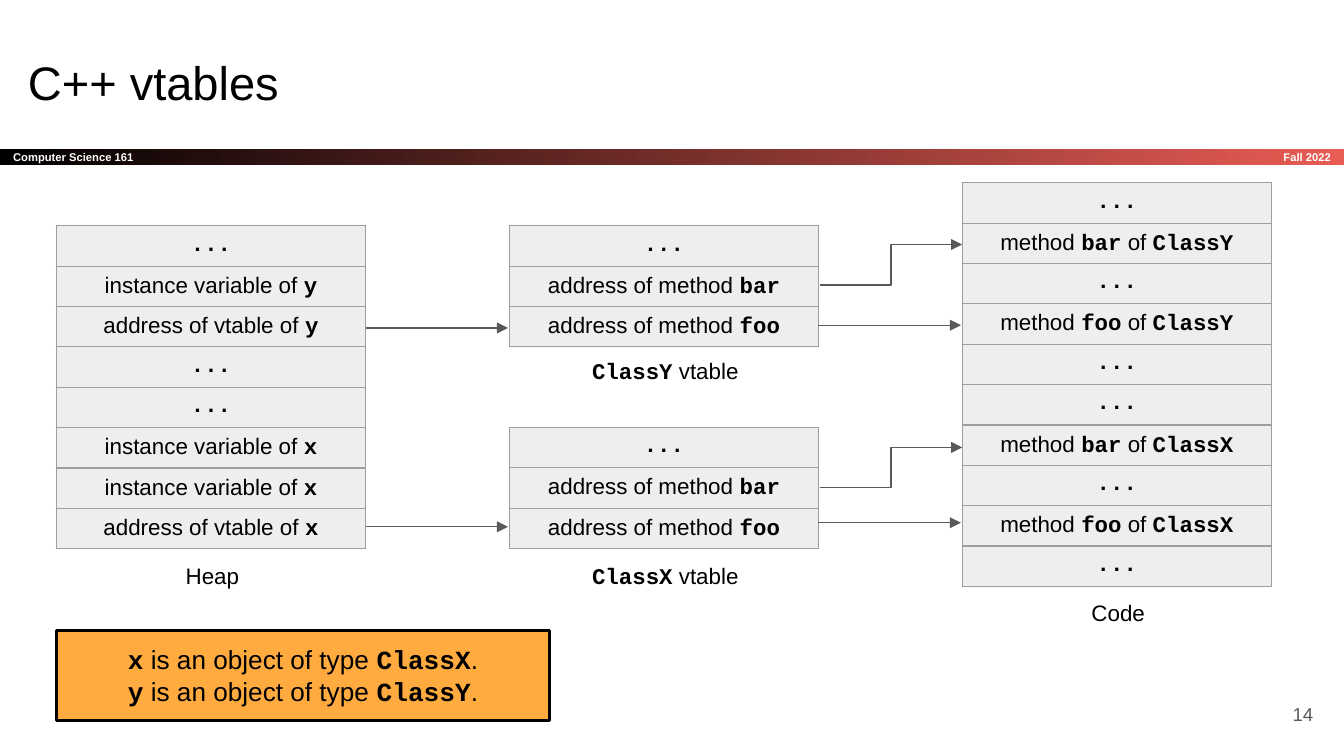
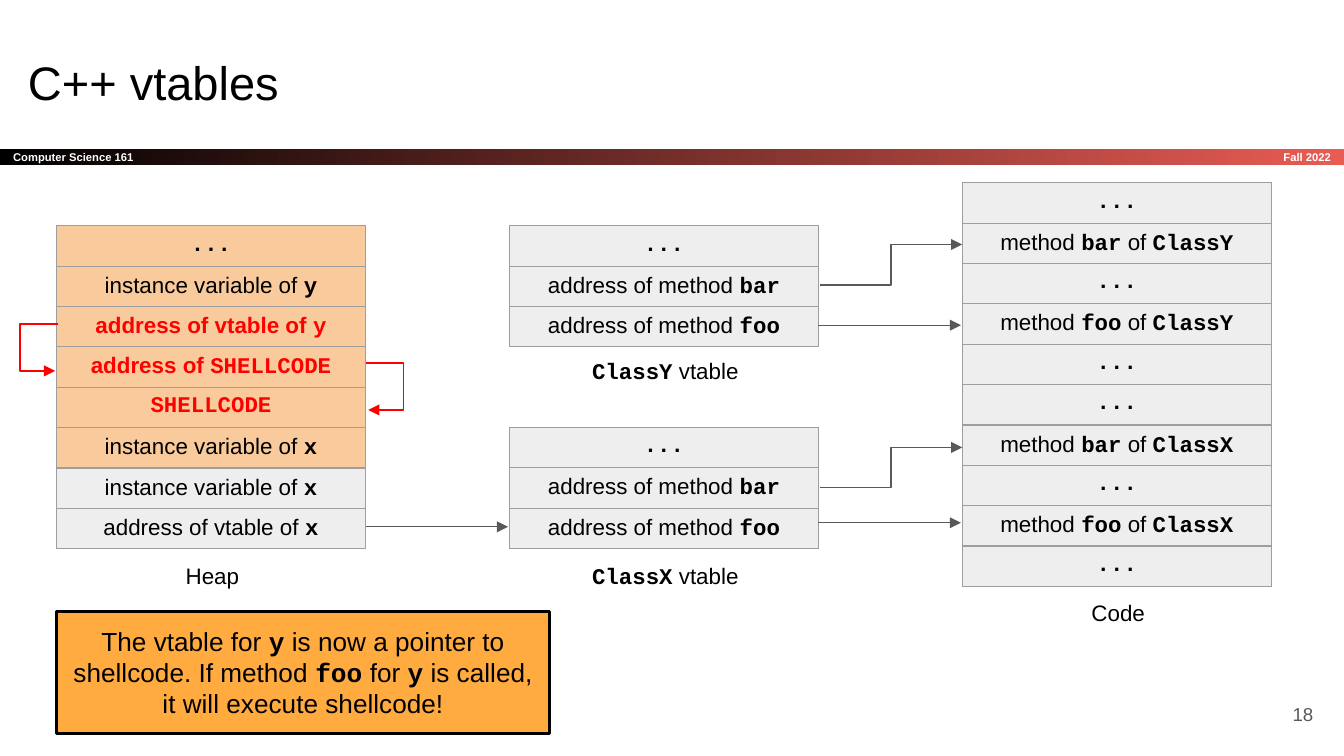
from dataclasses import dataclass
from typing import Any

from lxml.etree import SubElement
from pptx import Presentation
from pptx.dml.color import RGBColor
from pptx.enum.shapes import MSO_CONNECTOR, MSO_SHAPE
from pptx.enum.text import MSO_ANCHOR, PP_ALIGN
from pptx.oxml.ns import qn
from pptx.util import Inches, Pt

SANS = "Arial"
MONO = "Courier New"
BLACK = "000000"
WHITE = "FFFFFF"
GRAY = "595959"
CELL_GRAY = "EEEEEE"
CELL_ORANGE = "F9CB9C"
CELL_BORDER = "9E9E9E"
CALLOUT_ORANGE = "FFAB40"
BAND_RED = "E85C54"
ALERT_RED = "FF0000"

SLIDE_WIDTH = 10
SLIDE_HEIGHT = SLIDE_WIDTH * 9 / 16
BAND_TOP, BAND_HEIGHT = 1.11, 0.12
COLUMN_LEFT, COLUMN_STEP, COLUMN_WIDTH = 0.42, 3.37, 2.3
ROW_HEIGHT = 0.3
LINE_WIDTH = 0.75
GAP = "`...`"


@dataclass(frozen=True)
class TextStyle:
    size: float
    color: str = BLACK
    bold: bool = False
    align: PP_ALIGN = PP_ALIGN.LEFT
    anchor: MSO_ANCHOR = MSO_ANCHOR.TOP
    left_inset: float = 0.1
    inset: float = 0.1
    vertical_inset: float = 0.1


@dataclass(frozen=True)
class Box:
    left: float
    top: float
    width: float
    height: float

    def lengths(self) -> tuple[int, ...]:
        return tuple(Inches(value) for value in (self.left, self.top, self.width, self.height))


@dataclass(frozen=True)
class Row:
    text: str
    fill: str = CELL_GRAY
    alert: bool = False


@dataclass(frozen=True)
class MemoryBlock:
    column: int
    top: float
    rows: list[Row]
    caption: str
    caption_gap: float = 0


@dataclass(frozen=True)
class Arrow:
    start: tuple[float, float]
    end: tuple[float, float]
    kind: MSO_CONNECTOR = MSO_CONNECTOR.STRAIGHT


@dataclass(frozen=True)
class Page:
    number: int
    heap: list[Row]
    callout: Box
    callout_lines: list[str]
    arrows: list[Arrow]
    hijacks: list[list[tuple[float, float]]]


TITLE_STYLE = TextStyle(25.2)
BAND_STYLE = TextStyle(6, WHITE, True, anchor=MSO_ANCHOR.MIDDLE, vertical_inset=0)
TERM_STYLE = TextStyle(6, WHITE, True, PP_ALIGN.RIGHT, MSO_ANCHOR.MIDDLE, vertical_inset=0)
NUMBER_STYLE = TextStyle(10, GRAY, align=PP_ALIGN.RIGHT, anchor=MSO_ANCHOR.MIDDLE)
CALLOUT_STYLE = TextStyle(14, align=PP_ALIGN.CENTER)
CAPTION_STYLE = TextStyle(12, align=PP_ALIGN.CENTER, left_inset=0.12)
CELL_STYLE = TextStyle(12, align=PP_ALIGN.CENTER)
ALERT_STYLE = TextStyle(12, ALERT_RED, True, PP_ALIGN.CENTER)

VTABLE_ROWS = [Row(GAP), Row("address of method `bar`"), Row("address of method `foo`")]
CODE_ROWS = [
    Row(text)
    for name in ("ClassY", "ClassX")
    for text in (GAP, f"method `bar` of `{name}`", GAP, f"method `foo` of `{name}`", GAP)
]
SHARED_BLOCKS = [
    MemoryBlock(1, 1.68, VTABLE_ROWS, "`ClassY` vtable", -0.02),
    MemoryBlock(1, 3.18, VTABLE_ROWS, "`ClassX` vtable"),
    MemoryBlock(2, 1.36, CODE_ROWS, "Code"),
]
SHARED_ARROWS = [
    Arrow((2.72, 3.92), (3.78, 3.92)),
    Arrow((6.09, 2.42), (7.15, 2.42)),
    Arrow((6.09, 3.89), (7.15, 3.89)),
    Arrow((6.1, 2.12), (7.16, 1.82), MSO_CONNECTOR.ELBOW),
    Arrow((6.1, 3.63), (7.16, 3.33), MSO_CONNECTOR.ELBOW),
]

X_VARIABLE = "instance variable of `x`"
Y_VARIABLE = "instance variable of `y`"
X_POINTER = "address of vtable of `x`"
Y_POINTER = "address of vtable of `y`"

PAGES = [
    Page(
        14,
        [Row(text) for text in (GAP, Y_VARIABLE, Y_POINTER, GAP, GAP, X_VARIABLE, X_VARIABLE, X_POINTER)],
        Box(0.42, 4.69, 3.67, 0.67),
        ["`x` is an object of type `ClassX`.", "`y` is an object of type `ClassY`."],
        [Arrow((2.72, 2.44), (3.78, 2.44))],
        [],
    ),
    Page(
        18,
        [
            Row(GAP, CELL_ORANGE),
            Row(Y_VARIABLE, CELL_ORANGE),
            Row(Y_POINTER, CELL_ORANGE, True),
            Row("address of `SHELLCODE`", CELL_ORANGE, True),
            Row("`SHELLCODE`", CELL_ORANGE, True),
            Row(X_VARIABLE, CELL_ORANGE),
            Row(X_VARIABLE),
            Row(X_POINTER),
        ],
        Box(0.42, 4.55, 3.67, 0.91),
        [
            "The vtable for `y` is now a pointer to shellcode. "
            "If method `foo` for `y` is called, it will execute shellcode!"
        ],
        [],
        [
            [(0.43, 2.41), (0.15, 2.41), (0.15, 2.76), (0.41, 2.76)],
            [(2.72, 2.7), (3, 2.7), (3, 3.05), (2.74, 3.05)],
        ],
    ),
]


def rgb(value: str) -> RGBColor:
    return RGBColor.from_string(value)


def apply(target: Any, values: dict[str, Any]) -> None:
    for name, value in values.items():
        setattr(target, name, value)


def fill_solid(target: Any, color: str) -> None:
    target.fill.solid()
    target.fill.fore_color.rgb = rgb(color)


def set_line(shape: Any, color: str, width: float) -> None:
    shape.line.color.rgb = rgb(color)
    shape.line.width = Pt(width)


def add_arrowhead(shape: Any) -> None:
    SubElement(shape.element.spPr.find(qn("a:ln")), qn("a:tailEnd"), type="triangle")


def write_lines(frame: Any, lines: list[str], style: TextStyle) -> None:
    for index, line in enumerate(lines):
        paragraph = frame.paragraphs[0] if index == 0 else frame.add_paragraph()
        paragraph.alignment = style.align
        for position, text in enumerate(line.split("`")):
            if not text:
                continue
            is_code = position % 2 == 1
            run = paragraph.add_run()
            run.text = text
            apply(run.font, {
                "name": MONO if is_code else SANS,
                "size": Pt(style.size),
                "bold": is_code or style.bold,
            })
            run.font.color.rgb = rgb(style.color)


def write_shape(shape: Any, lines: list[str], style: TextStyle) -> None:
    frame = shape.text_frame
    apply(frame, {
        "word_wrap": True,
        "vertical_anchor": style.anchor,
        "margin_left": Inches(style.left_inset),
        "margin_right": Inches(style.inset),
        "margin_top": Inches(style.vertical_inset),
        "margin_bottom": Inches(style.vertical_inset),
    })
    write_lines(frame, lines, style)


def add_text(slide: Any, box: Box, text: str, style: TextStyle) -> None:
    write_shape(slide.shapes.add_textbox(*box.lengths()), [text], style)


def add_rectangle(slide: Any, box: Box) -> Any:
    shape = slide.shapes.add_shape(MSO_SHAPE.RECTANGLE, *box.lengths())
    shape.shadow.inherit = False
    return shape


def add_frame(slide: Any, number: int) -> None:
    band = add_rectangle(slide, Box(0, BAND_TOP, SLIDE_WIDTH, BAND_HEIGHT))
    band.fill.gradient()
    band.fill.gradient_angle = 0
    for stop, color in zip(band.fill.gradient_stops, (BLACK, BAND_RED)):
        stop.color.rgb = rgb(color)
    band.line.fill.background()
    write_shape(band, ["Computer Science 161"], BAND_STYLE)
    add_text(slide, Box(8.34, BAND_TOP, 1.66, BAND_HEIGHT), "Fall 2022", TERM_STYLE)
    add_text(slide, Box(9.27, 5.1, 0.6, 0.43), str(number), NUMBER_STYLE)
    add_text(slide, Box(0.11, 0.3, 9.32, 0.63), "C++ vtables", TITLE_STYLE)


def add_cell_borders(cell: Any) -> None:
    properties = cell._tc.get_or_add_tcPr()
    for side in ("lnL", "lnR", "lnT", "lnB"):
        line = SubElement(properties, qn(f"a:{side}"), w=str(Pt(LINE_WIDTH)))
        SubElement(SubElement(line, qn("a:solidFill")), qn("a:srgbClr"), val=CELL_BORDER)


def add_memory_block(slide: Any, block: MemoryBlock) -> None:
    left = COLUMN_LEFT + block.column * COLUMN_STEP
    height = len(block.rows) * ROW_HEIGHT
    box = Box(left, block.top, COLUMN_WIDTH, height)
    table = slide.shapes.add_table(len(block.rows), 1, *box.lengths()).table
    apply(table, {"first_row": False, "horz_banding": False})
    for index, row in enumerate(block.rows):
        table.rows[index].height = Inches(ROW_HEIGHT)
        cell = table.cell(index, 0)
        sides = ("left", "right", "top", "bottom")
        apply(cell, {f"margin_{side}": Inches(0.05) for side in sides})
        add_cell_borders(cell)
        fill_solid(cell, row.fill)
        write_lines(cell.text_frame, [row.text], ALERT_STYLE if row.alert else CELL_STYLE)
    caption_box = Box(left, block.top + height + block.caption_gap, COLUMN_WIDTH, 0.4)
    add_text(slide, caption_box, block.caption, CAPTION_STYLE)


def add_arrow(slide: Any, arrow: Arrow) -> None:
    points = [Inches(value) for value in (*arrow.start, *arrow.end)]
    connector = slide.shapes.add_connector(arrow.kind, *points)
    set_line(connector, GRAY, LINE_WIDTH)
    add_arrowhead(connector)
    SubElement(connector.element.spPr, qn("a:effectLst"))


def add_hijack(slide: Any, route: list[tuple[float, float]]) -> None:
    start, *corners = [(Inches(x), Inches(y)) for x, y in route]
    builder = slide.shapes.build_freeform(*start)
    builder.add_line_segments(corners, close=False)
    shape = builder.convert_to_shape()
    shape.shadow.inherit = False
    shape.fill.background()
    set_line(shape, ALERT_RED, LINE_WIDTH)
    add_arrowhead(shape)


def add_callout(slide: Any, box: Box, lines: list[str]) -> None:
    shape = add_rectangle(slide, box)
    fill_solid(shape, CALLOUT_ORANGE)
    set_line(shape, BLACK, 1.5)
    write_shape(shape, lines, CALLOUT_STYLE)


def main() -> None:
    presentation = Presentation()
    apply(presentation, {"slide_width": Inches(SLIDE_WIDTH), "slide_height": Inches(SLIDE_HEIGHT)})
    for page in PAGES:
        slide = presentation.slides.add_slide(presentation.slide_layouts[6])
        add_frame(slide, page.number)
        add_callout(slide, page.callout, page.callout_lines)
        for block in [MemoryBlock(0, 1.68, page.heap, "Heap"), *SHARED_BLOCKS]:
            add_memory_block(slide, block)
        for arrow in page.arrows + SHARED_ARROWS:
            add_arrow(slide, arrow)
        for route in page.hijacks:
            add_hijack(slide, route)
    presentation.save("out.pptx")


if __name__ == "__main__":
    main()
